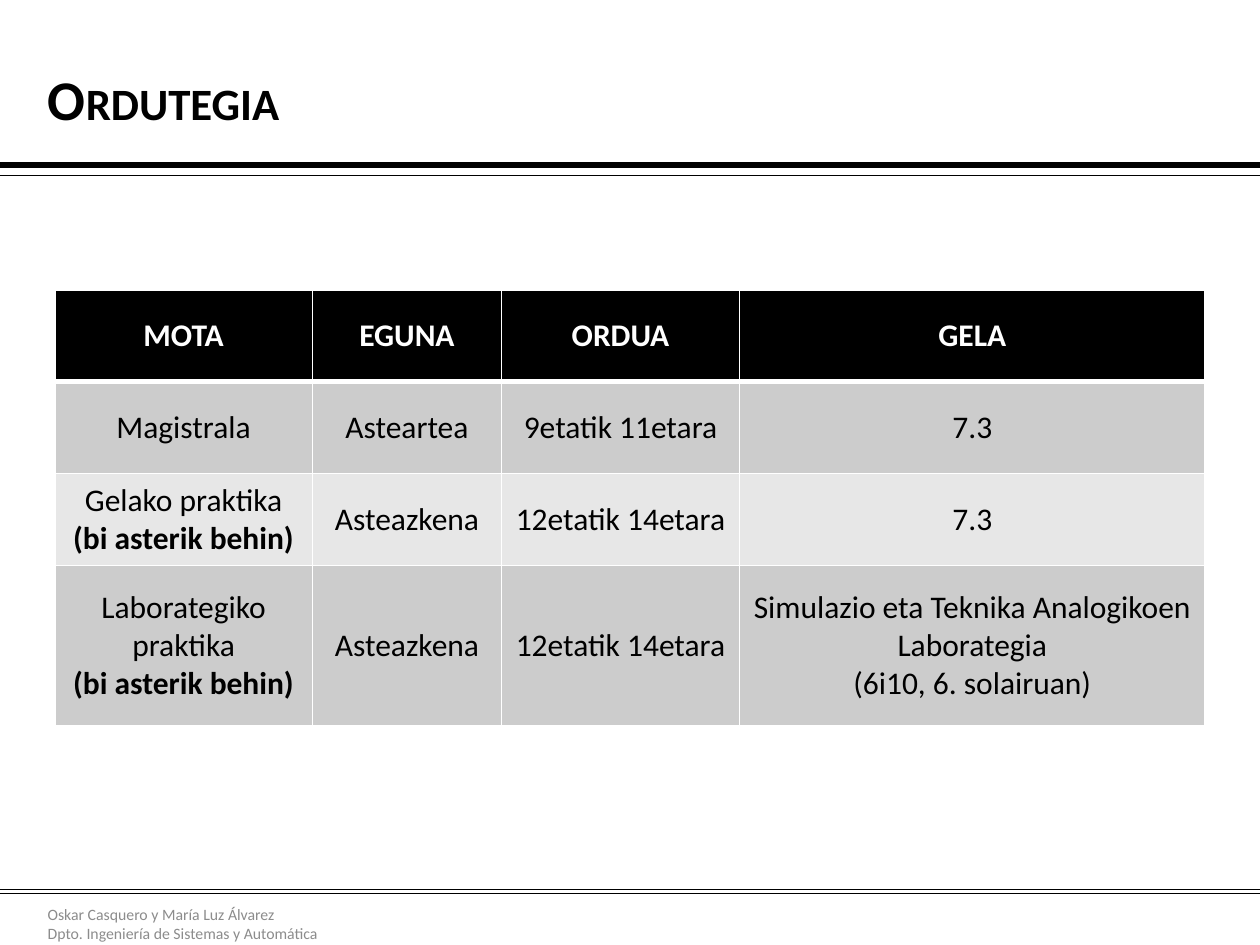
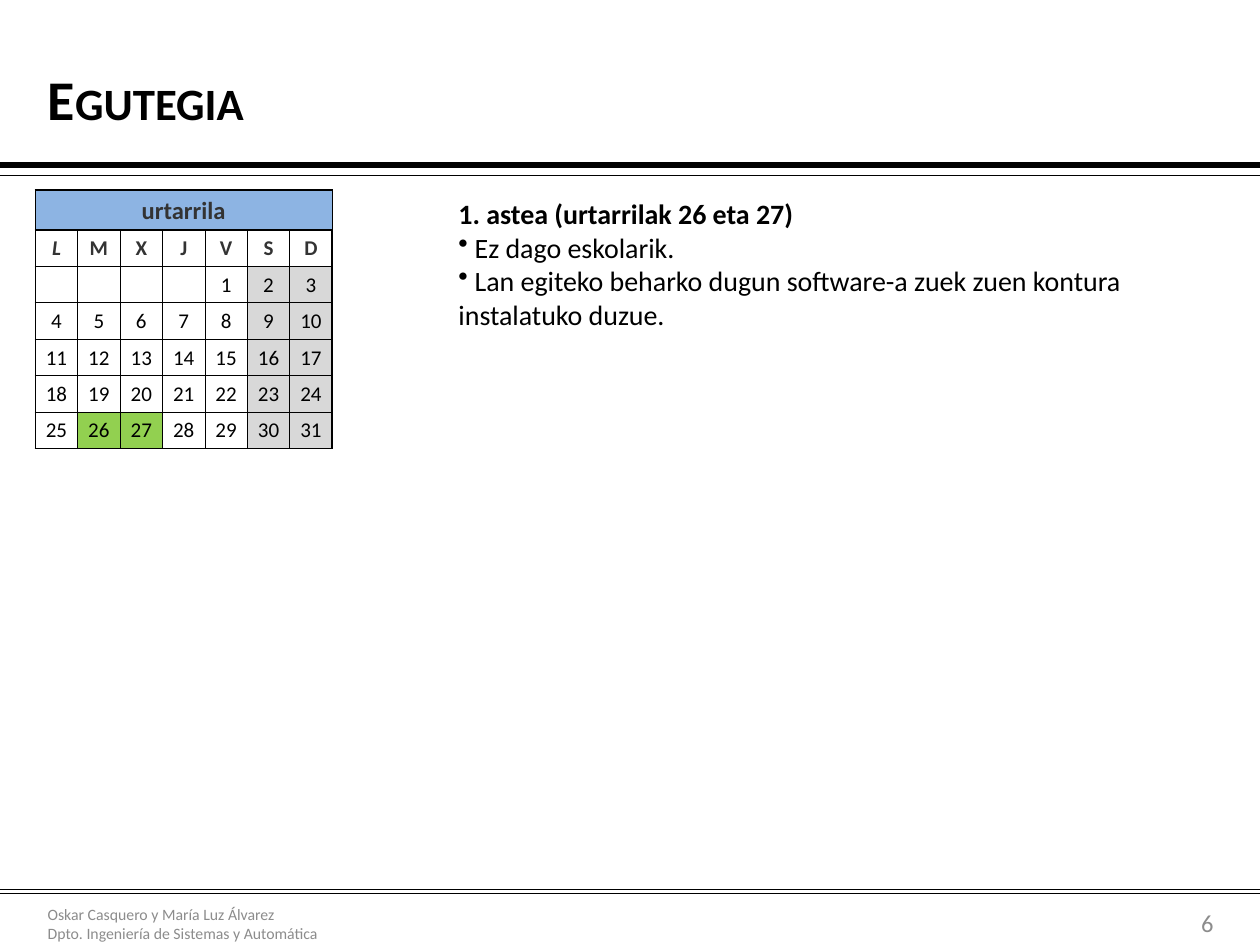
from dataclasses import dataclass
from typing import Optional

from lxml.etree import SubElement
from pptx import Presentation
from pptx.dml.color import RGBColor
from pptx.enum.shapes import MSO_CONNECTOR
from pptx.enum.text import MSO_ANCHOR, MSO_AUTO_SIZE, PP_ALIGN
from pptx.oxml import parse_xml
from pptx.oxml.ns import nsdecls, qn
from pptx.util import Inches, Pt

# Shared colours and font
BLACK = RGBColor(0x00, 0x00, 0x00)
WHITE = RGBColor(0xFF, 0xFF, 0xFF)
FOOTER_GRAY = RGBColor(0x8C, 0x8C, 0x8C)
BAND_DARK = RGBColor(0xCC, 0xCC, 0xCC)
BAND_LIGHT = RGBColor(0xE7, 0xE7, 0xE7)
MONTH_BLUE = RGBColor(0x8D, 0xB4, 0xE3)
MONTH_TEXT = RGBColor(0x33, 0x33, 0x33)
WEEKEND_GRAY = RGBColor(0xD8, 0xD8, 0xD8)
CLASS_GREEN = RGBColor(0x92, 0xD0, 0x50)
FONT = "Calibri"

# The slide is a grid of 100 columns by 75 rows
prs = Presentation()
prs.slide_width, prs.slide_height = Inches(10), Inches(7.5)
TITLE_ONLY = prs.slide_layouts[5]


def cols(n: float) -> int:
    return round(prs.slide_width * n / 100)


def rows(n: float) -> int:
    return round(prs.slide_height * n / 75)


@dataclass(frozen=True)
class Box:
    left: float
    top: float
    width: float
    height: float

    def emu(self) -> tuple:
        return cols(self.left), rows(self.top), cols(self.width), rows(self.height)


@dataclass(frozen=True)
class Rule:
    row: float
    weight: float


@dataclass(frozen=True)
class Line:
    text: str
    bold: Optional[bool] = None
    bullet: bool = False


MARGIN = 2.8
TITLE_BOX = Box(MARGIN, 2.9, 94.5, 9.8)
FOOTER_BOX = Box(MARGIN, 71.3, 37, 4)
NUMBER_BOX = Box(89.4, 71.8, 7.9, 2.8)
RULES = [Rule(13.1, 3), Rule(13.9, 0.25), Rule(70.6, 0.25), Rule(70.9, 0.25)]
FOOTER = [Line("Oskar Casquero y María Luz Álvarez"),
          Line("Dpto. Ingeniería de Sistemas y Automática")]


def write(tf, lines: list, *, size: float, color: RGBColor = BLACK, bold: bool = False,
          italic: bool = False, align=PP_ALIGN.LEFT, small_caps: bool = False) -> None:
    for i, line in enumerate(lines):
        p = tf.add_paragraph() if i else tf.paragraphs[0]
        p.alignment = align
        if line.bullet:
            pPr = p._p.get_or_add_pPr()
            pPr.set("marL", "0")
            pPr.set("indent", "0")
            SubElement(pPr, qn("a:buChar")).set("char", "•")
        if not line.text:
            SubElement(p._p, qn("a:endParaRPr")).set("sz", str(size * 100))
            continue
        r = p.add_run()
        r.text = line.text
        r.font.name, r.font.size, r.font.italic = FONT, Pt(size), italic
        r.font.bold = bold if line.bold is None else line.bold
        r.font.color.rgb = color
        if small_caps:
            r.font._element.set("cap", "small")


def add_text(s, box: Box, lines: list, anchor=MSO_ANCHOR.MIDDLE, **fmt) -> None:
    tf = s.shapes.add_textbox(*box.emu()).text_frame
    tf.word_wrap = True
    tf.vertical_anchor = anchor
    write(tf, lines, **fmt)


def add_rule(s, rule: Rule) -> None:
    y = rows(rule.row)
    c = s.shapes.add_connector(MSO_CONNECTOR.STRAIGHT, 0, y, prs.slide_width, y)
    c.line.color.rgb, c.line.width = BLACK, Pt(rule.weight)
    SubElement(c._element.spPr, qn("a:effectLst"))


def add_slide(title: str):
    s = prs.slides.add_slide(TITLE_ONLY)
    for rule in RULES:
        add_rule(s, rule)
    add_text(s, FOOTER_BOX, FOOTER, size=9, color=FOOTER_GRAY)
    sp = s.shapes.title
    sp.left, sp.top, sp.width, sp.height = TITLE_BOX.emu()
    tf = sp.text_frame
    tf.auto_size, tf.vertical_anchor = MSO_AUTO_SIZE.NONE, MSO_ANCHOR.MIDDLE
    write(tf, [Line(title)], size=32, bold=True, small_caps=True)
    return s


def add_grid(s, left: float, top: float, widths: list, heights: list):
    box = Box(left, top, sum(widths), sum(heights))
    table = s.shapes.add_table(len(heights), len(widths), *box.emu()).table
    table.first_row = table.horz_banding = False
    for column, width in zip(table.columns, widths):
        column.width = cols(width)
    for row, height in zip(table.rows, heights):
        row.height = rows(height)
    return table


def fill_cell(cell, lines: list, fill: RGBColor, border: RGBColor,
              weights: tuple, **fmt) -> None:
    """Weights are the left, right, top and bottom borders in points."""
    cell.vertical_anchor = MSO_ANCHOR.MIDDLE
    cell.fill.solid()
    cell.fill.fore_color.rgb = fill
    tcPr = cell._tc.get_or_add_tcPr()
    for i, (side, weight) in enumerate(zip("LRTB", weights)):
        tcPr.insert(i, parse_xml(
            f'<a:ln{side} {nsdecls("a")} w="{Pt(weight)}"><a:solidFill>'
            f'<a:srgbClr val="{border}"/></a:solidFill></a:ln{side}>'))
    write(cell.text_frame, lines, align=PP_ALIGN.CENTER, **fmt)


# Slide 1: timetable
s = add_slide("Ordutegia")
FORTNIGHTLY = Line("(bi asterik behin)", bold=True)
timetable = [
    [[Line(head)] for head in ("MOTA", "EGUNA", "ORDUA", "GELA")],
    [[Line("Magistrala")], [Line("Asteartea")], [Line("9etatik 11etara")], [Line("7.3")]],
    [[Line("Gelako praktika"), FORTNIGHTLY], [Line("Asteazkena")],
     [Line("12etatik 14etara")], [Line("7.3")]],
    [[Line("Laborategiko praktika"), FORTNIGHTLY], [Line("Asteazkena")],
     [Line("12etatik 14etara")],
     [Line("Simulazio eta Teknika Analogikoen Laborategia"),
      Line("(6i10, 6. solairuan)")]],
]
table = add_grid(s, 4.35, 23, [20.45, 15, 18.9, 36.95], [7.3, 7.3, 7.3, 12.7])
for i, row in enumerate(timetable):
    header = i == 0
    fill = BLACK if header else BAND_DARK if i % 2 else BAND_LIGHT
    weights = (1, 1, 3 if i == 1 else 1, 3 if header else 1)
    for j, lines in enumerate(row):
        fill_cell(table.cell(i, j), lines, fill, WHITE, weights, size=18,
                  bold=header, color=WHITE if header else BLACK)

# Slide 2: calendar
s = add_slide("Egutegia")
add_text(s, NUMBER_BOX, [Line("6")], size=14, color=FOOTER_GRAY, align=PP_ALIGN.RIGHT)

DAYS = "LMXJVSD"
FIRST_WEEKDAY, MONTH_LENGTH, WEEKS = 4, 31, 5
CLASS_DAYS = {26, 27}
LAST_ROW, LAST_COL = WEEKS + 1, len(DAYS) - 1
table = add_grid(s, MARGIN, 15.1, [3.37] * len(DAYS), [3.15] + [2.89] * LAST_ROW)
table.cell(0, 0).merge(table.cell(0, LAST_COL))
for i in range(LAST_ROW + 1):
    for j, weekday in enumerate(DAYS):
        cell = table.cell(i, j)
        cell.margin_left = cell.margin_right = cell.margin_top = Inches(0.01)
        cell.margin_bottom = 0
        fill, text = WHITE, ""
        fmt = dict(size=12, bold=i < 2, color=MONTH_TEXT if i < 2 else BLACK)
        if i == 0:
            fill, text = MONTH_BLUE, "" if j else "urtarrila"
            fmt["size"] = 14
        elif i == 1:
            text = weekday
            fmt["italic"] = j == 0
        else:
            day = (i - 2) * len(DAYS) + j - FIRST_WEEKDAY + 1
            text = str(day) if 1 <= day <= MONTH_LENGTH else ""
            if day in CLASS_DAYS:
                fill = CLASS_GREEN
            elif weekday in "SD":
                fill = WEEKEND_GRAY
        # Heavy lines go around the month and its two heading rows
        heavy = (j == 0, j == LAST_COL, i <= 2, i in (0, 1, LAST_ROW))
        weights = tuple(1 if h else 0.5 for h in heavy)
        fill_cell(cell, [Line(text)], fill, BLACK, weights, **fmt)

# Slide 2: notes on the week
add_text(s, Box(35.4, 15.1, 61.8, 11.8), [
    Line("1. astea (urtarrilak 26 eta 27)", bold=True),
    Line(" Ez dago eskolarik.", bullet=True),
    Line(" Lan egiteko beharko dugun software-a zuek zuen kontura instalatuko duzue.",
         bullet=True),
], anchor=MSO_ANCHOR.TOP, size=16)

prs.save("out.pptx")
